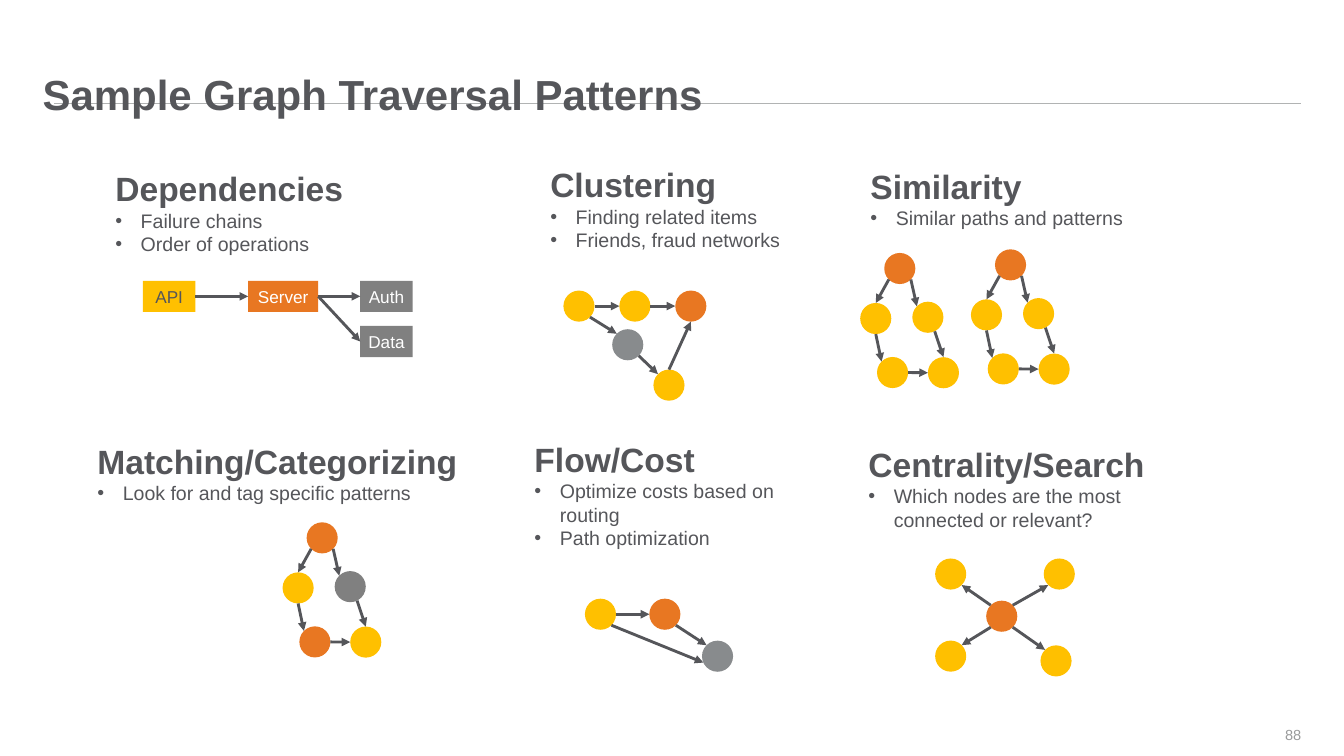
from dataclasses import dataclass
from math import cos, radians, sin

from lxml import etree
from pptx import Presentation
from pptx.dml.color import RGBColor
from pptx.enum.shapes import MSO_CONNECTOR, MSO_SHAPE
from pptx.enum.text import MSO_ANCHOR, MSO_AUTO_SIZE, PP_ALIGN
from pptx.oxml.ns import qn
from pptx.util import Pt

STRAIGHT = MSO_CONNECTOR.STRAIGHT
RECT, OVAL = MSO_SHAPE.RECTANGLE, MSO_SHAPE.OVAL
BOTTOM, MIDDLE = MSO_ANCHOR.BOTTOM, MSO_ANCHOR.MIDDLE
CENTER, RIGHT = PP_ALIGN.CENTER, PP_ALIGN.RIGHT
NO_FIT, GROW = MSO_AUTO_SIZE.NONE, MSO_AUTO_SIZE.SHAPE_TO_FIT_TEXT

NODE_SIZE = 32.6
BULLET_INDENT = 26.6
ANGLES = {"E": 0, "SE": 45, "SSE": 64, "S": 90, "SW": 135, "WSW": 156,
          "W": 180, "NW": 225, "N": 270, "NE": 315}


@dataclass(frozen=True)
class Theme:
    font: str = "Arial"
    ink: str = "55565A"
    white: str = "FFFFFF"
    yellow: str = "FFC000"
    orange: str = "E87722"
    gray: str = "808080"
    slate: str = "888B8D"
    rule: str = "B1B3B3"
    muted: str = "999A9B"
    title: float = 44
    heading: float = 35.2
    bullet: float = 20.5
    label: float = 18
    number: float = 15.3


@dataclass(frozen=True)
class Node:
    x: float
    y: float
    fill: str
    label: str = ""
    width: float = NODE_SIZE
    ink: str = "FFFFFF"

    def site(self, name: str) -> tuple[float, float]:
        angle = radians(ANGLES[name])
        return (self.x + self.width / 2 * (1 + cos(angle)),
                self.y + NODE_SIZE / 2 * (1 + sin(angle)))


@dataclass(frozen=True)
class Edge:
    start: int
    start_site: str
    end: int
    end_site: str


@dataclass(frozen=True)
class Graph:
    nodes: list[Node]
    edges: list[Edge]


@dataclass(frozen=True)
class Panel:
    heading: str
    bullets: list[str]
    box: tuple[float, float, float, float]
    graphs: list[Graph]


T = Theme()
Y, O, G, S = T.yellow, T.orange, T.gray, T.slate

RING_OFFSETS = [(0, 0), (-25.2, 52.4), (29.4, 51.1), (-7.6, 109), (45.7, 109.2)]
RING_EDGES = [Edge(0, "SE", 2, "NW"), Edge(0, "SW", 1, "N"), Edge(1, "S", 3, "NW"),
              Edge(2, "SSE", 4, "N"), Edge(3, "E", 4, "W")]


def ring(x: float, y: float, fills: list[str]) -> Graph:
    nodes = [Node(x + dx, y + dy, fill) for (dx, dy), fill in zip(RING_OFFSETS, fills)]
    return Graph(nodes, RING_EDGES)


DEPENDENCIES = Graph(
    [Node(149.8, 294.2, Y, "API", 55, T.ink), Node(260, 294.2, O, "Server", 73.5),
     Node(377.5, 294.2, G, "Auth", 55), Node(377.5, 341.5, G, "Data", 55)],
    [Edge(0, "E", 1, "W"), Edge(1, "E", 2, "W"), Edge(1, "E", 3, "W")])
CLUSTER = Graph(
    [Node(590.4, 304.4, Y), Node(649, 304.4, Y), Node(707.6, 304.4, O),
     Node(641.5, 344.9, S), Node(684.7, 387.2, Y)],
    [Edge(0, "E", 1, "W"), Edge(1, "E", 2, "W"), Edge(0, "SE", 3, "NW"),
     Edge(3, "SE", 4, "NW"), Edge(4, "N", 2, "S")])
FLOW = Graph(
    [Node(612.9, 627.2, Y), Node(680.4, 627.2, O), Node(735.6, 671.2, S)],
    [Edge(0, "E", 1, "W"), Edge(1, "SE", 2, "NW"), Edge(0, "SE", 2, "WSW")])
HUB = Graph(
    [Node(1033.4, 629.3, O), Node(1093.7, 585.1, Y), Node(1090.3, 676.1, Y),
     Node(979.9, 585.1, Y), Node(979.9, 671.1, Y)],
    [Edge(0, "NE", 1, "SW"), Edge(0, "SE", 2, "NW"),
     Edge(0, "NW", 3, "SE"), Edge(0, "SW", 4, "NE")])

PANELS = [
    Panel("Dependencies", ["Failure chains", "Order of operations"],
          (113.8, 172.8, 283.7, 99.4), [DEPENDENCIES]),
    Panel("Clustering", ["Finding related items", "Friends, fraud networks"],
          (569.5, 168.5, 258.5, 99.4), [CLUSTER]),
    Panel("Similarity", ["Similar paths and patterns"], (905, 169.9, 284.4, 99.4),
          [ring(926.6, 265, [O, Y, Y, Y, Y]), ring(1042.6, 261.2, [O, Y, Y, Y, Y])]),
    Panel("Matching/Categorizing", ["Look for and tag specific patterns"],
          (95, 457.9, 427, 118), [ring(321.3, 547.2, [O, Y, G, O, Y])]),
    Panel("Flow/Cost", ["Optimize costs based on routing", "Path optimization"],
          (553, 456.5, 299.5, 124.6), [FLOW]),
    Panel("Centrality/Search", ["Which nodes are the most connected or relevant?"],
          (902.9, 461.5, 338.4, 99.4), [HUB]),
]


def style(p, size: float, color: str, bold: bool = False) -> None:
    for r in p.runs:
        r.font.name = T.font
        r.font.size = Pt(size)
        r.font.bold = bold
        r.font.color.rgb = RGBColor.from_string(color)


def no_margins(tf) -> None:
    tf.margin_left = tf.margin_right = tf.margin_top = tf.margin_bottom = 0


def draw_line(s, start, end, color: str, width: float, arrow: bool = False):
    line = s.shapes.add_connector(STRAIGHT, *(Pt(v) for v in (*start, *end)))
    line.line.color.rgb = RGBColor.from_string(color)
    line.line.width = Pt(width)
    if arrow:
        etree.SubElement(line.line._get_or_add_ln(), qn("a:tailEnd"), type="triangle")
    etree.SubElement(line._element.spPr, qn("a:effectLst"))
    return line


def draw_node(s, node: Node) -> None:
    sp = s.shapes.add_shape(RECT if node.label else OVAL, Pt(node.x), Pt(node.y),
                            Pt(node.width), Pt(NODE_SIZE))
    sp.shadow.inherit = False
    sp.fill.solid()
    sp.fill.fore_color.rgb = RGBColor.from_string(node.fill)
    sp.line.fill.background()
    if node.label:
        tf = sp.text_frame
        tf.text = node.label
        tf.word_wrap = False
        tf.vertical_anchor = MIDDLE
        tf.paragraphs[0].alignment = CENTER
        style(tf.paragraphs[0], T.label, node.ink)


def draw_graph(s, graph: Graph) -> None:
    for node in graph.nodes:
        draw_node(s, node)
    for edge in graph.edges:
        draw_line(s, graph.nodes[edge.start].site(edge.start_site),
                  graph.nodes[edge.end].site(edge.end_site), T.ink, 3, arrow=True)


def draw_panel(s, panel: Panel) -> None:
    tf = s.shapes.add_textbox(*(Pt(v) for v in panel.box)).text_frame
    tf.word_wrap = True
    tf.auto_size = GROW
    tf.text = panel.heading
    style(tf.paragraphs[0], T.heading, T.ink, bold=True)
    for bullet in panel.bullets:
        p = tf.add_paragraph()
        p.text = bullet
        pPr = p._p.get_or_add_pPr()
        pPr.set("marL", str(Pt(BULLET_INDENT)))
        pPr.set("indent", str(-Pt(BULLET_INDENT)))
        etree.SubElement(pPr, qn("a:buFont"), typeface=T.font)
        etree.SubElement(pPr, qn("a:buChar"), char="•")
        style(p, T.bullet, T.ink)
    for graph in panel.graphs:
        draw_graph(s, graph)


def draw_title(s, text: str) -> None:
    title = s.shapes.title
    title.left, title.top, title.width, title.height = Pt(44.6), Pt(36), Pt(1304), Pt(89.3)
    tf = title.text_frame
    tf.text = text
    tf.auto_size = NO_FIT
    tf.vertical_anchor = BOTTOM
    no_margins(tf)
    p = tf.paragraphs[0]
    p.alignment = PP_ALIGN.LEFT
    p.line_spacing = 0.9
    style(p, T.title, T.ink, bold=True)
    rule = draw_line(s, (56.9, 108), (1363.7, 108), T.rule, 1)
    title._element.addprevious(rule._element)


def draw_number(s, text: str) -> None:
    tf = s.shapes.add_textbox(Pt(1301), Pt(748.8), Pt(62.7), Pt(42.5)).text_frame
    tf.text = text
    tf.word_wrap = True
    tf.vertical_anchor = MIDDLE
    no_margins(tf)
    tf.paragraphs[0].alignment = RIGHT
    style(tf.paragraphs[0], T.number, T.muted)


def main() -> None:
    prs = Presentation()
    prs.slide_width, prs.slide_height = Pt(1408.32), Pt(792)
    s = prs.slides.add_slide(prs.slide_layouts[5])
    draw_title(s, "Sample Graph Traversal Patterns")
    draw_number(s, "88")
    for panel in PANELS:
        draw_panel(s, panel)
    prs.save("out.pptx")


if __name__ == "__main__":
    main()
